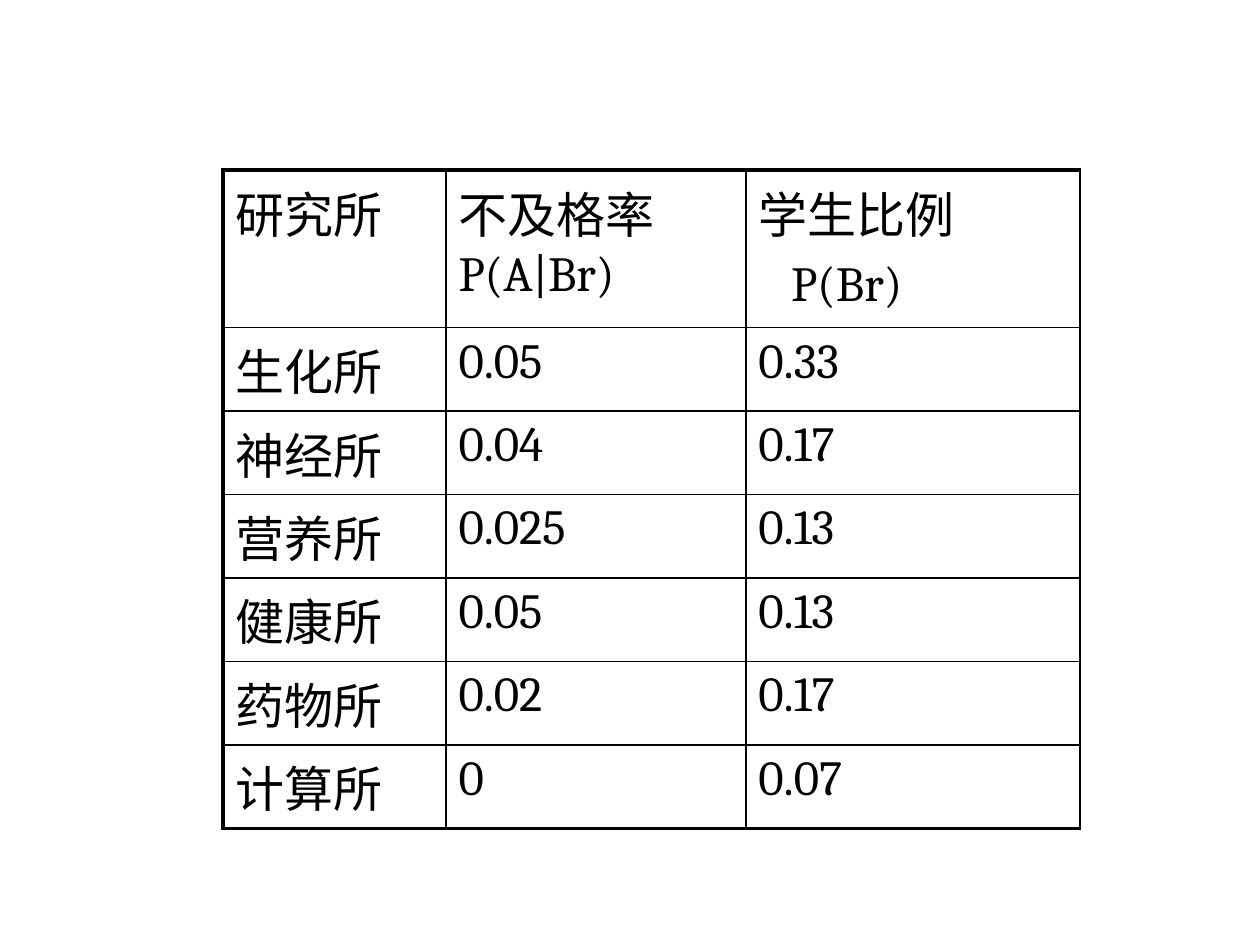
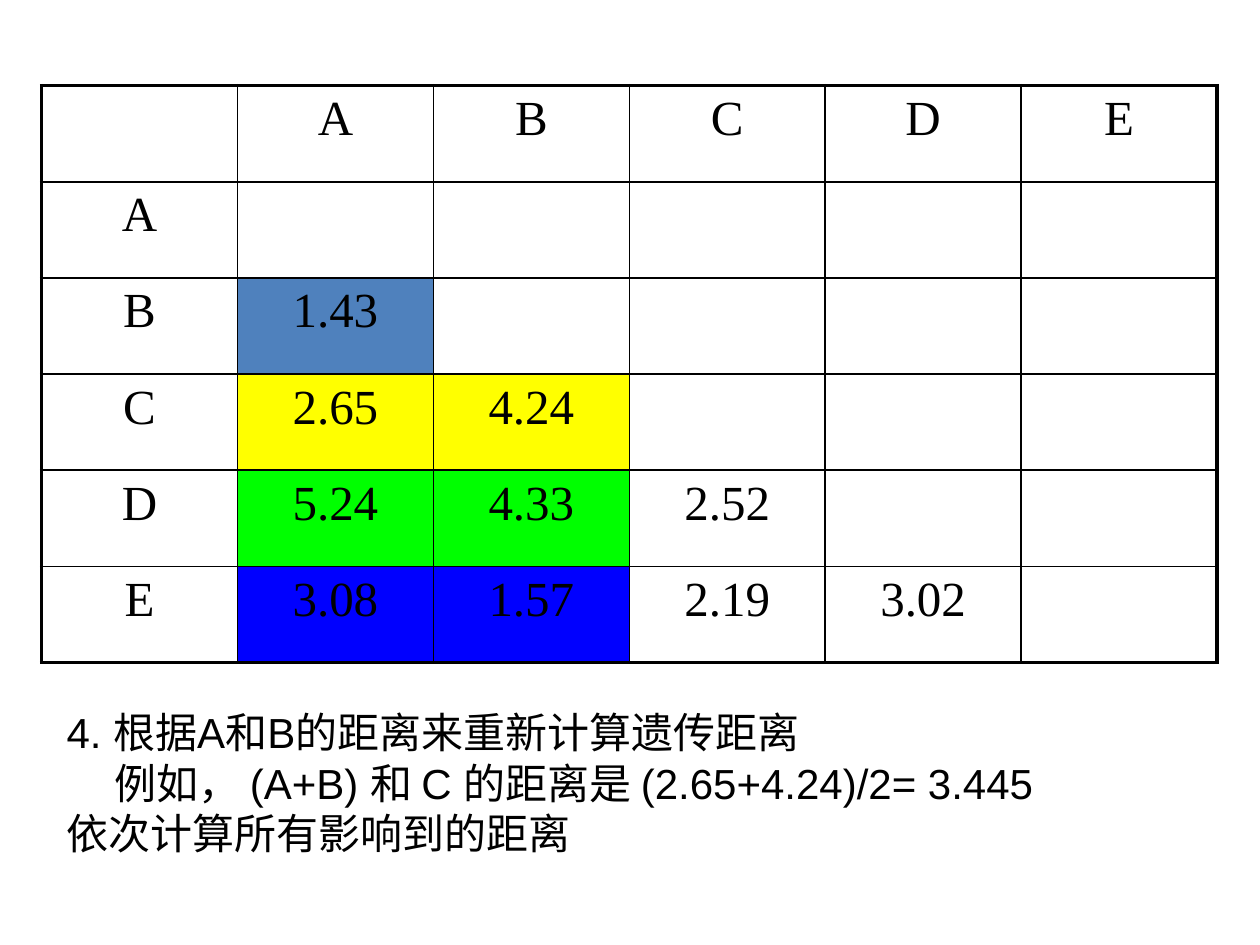
from pptx import Presentation
from pptx.dml.color import RGBColor
from pptx.enum.text import PP_ALIGN as Align
from pptx.oxml.ns import qn
from pptx.util import Inches, Pt
from lxml.etree import SubElement

BLACK = "000000"
THIN, THICK = 1, 2.25

INSTITUTES = [
    ["研究所", "不及格率P(A|Br)", "学生比例\nP(Br)"],
    ["生化所", "0.05", "0.33"],
    ["神经所", "0.04", "0.17"],
    ["营养所", "0.025", "0.13"],
    ["健康所", "0.05", "0.13"],
    ["药物所", "0.02", "0.17"],
    ["计算所", "0", "0.07"],
]

SPECIES = "ABCDE"
DISTANCES = [[], ["1.43"], ["2.65", "4.24"], ["5.24", "4.33", "2.52"],
             ["3.08", "1.57", "2.19", "3.02"]]
PAIR_FILLS = {"B": "4F81BD", "C": "FFFF00", "D": "00FF00", "E": "0000FF"}

NOTES = """4. 根据A和B的距离来重新计算遗传距离
例如， (A+B) 和 C 的距离是 (2.65+4.24)/2= 3.445
依次计算所有影响到的距离"""


def rgb(color):
    return RGBColor.from_string(color)


def write(tf, text, font="Arial", size=28, color=BLACK, align=Align.LEFT,
          gap=0, indents=()):
    """Write one paragraph per line; indents maps a line number to its first-line indent."""
    indents = dict(indents)
    for i, line in enumerate(text.split("\n")):
        p = tf.paragraphs[0] if i == 0 else tf.add_paragraph()
        p.alignment = align
        if i and gap:
            p.space_before = Pt(gap)
        if i in indents:
            p._p.get_or_add_pPr().set("indent", str(Inches(indents[i])))
        r = p.add_run()
        r.text = line
        r.font.name, r.font.size = font, Pt(size)
        r.font.color.rgb = rgb(color)


def set_borders(cell, widths):
    tcPr = cell._tc.get_or_add_tcPr()
    for side, width in zip("LRTB", widths):
        ln = SubElement(tcPr, qn(f"a:ln{side}"), w=str(Pt(width)))
        fill = SubElement(ln, qn("a:solidFill"))
        SubElement(fill, qn("a:srgbClr"), val=BLACK)


def add_grid(slide, box, rows, col_widths, row_heights, right=THICK,
             fill_for=lambda row, col: None, **text_format):
    """Add a table with thin inner lines and a thick frame; right is the last edge's width."""
    table = slide.shapes.add_table(len(rows), len(col_widths),
                                   *map(Inches, box)).table
    table.first_row = table.horz_banding = False
    for column, width in zip(table.columns, col_widths):
        column.width = Inches(width)
    for row, height in zip(table.rows, row_heights):
        row.height = Inches(height)
    last_row, last_col = len(rows) - 1, len(col_widths) - 1
    for i, values in enumerate(rows):
        for j, value in enumerate(values):
            cell = table.cell(i, j)
            set_borders(cell, (THIN if j else THICK,
                               right if j == last_col else THIN,
                               THIN if i else THICK,
                               THICK if i == last_row else THIN))
            color = fill_for(i, j)
            if color:
                cell.fill.solid()
                cell.fill.fore_color.rgb = rgb(color)
            else:
                cell.fill.background()
            if value:
                write(cell.text_frame, value, **text_format)


def add_institute_slide(prs):
    slide = prs.slides.add_slide(prs.slide_layouts[6])
    add_grid(slide, (1.77, 1.35, 6.8, 4.65), INSTITUTES,
             [1.77, 2.38, 2.65], [1.25] + [0.57] * 6, right=THIN,
             font="Cambria", gap=5.6, indents={1: 0.26})


def add_distance_slide(prs):
    slide = prs.slides.add_slide(prs.slide_layouts[6])
    size = len(SPECIES)
    rows = [["", *SPECIES]]
    rows += [[name, *known, *[""] * (size - len(known))]
             for name, known in zip(SPECIES, DISTANCES)]

    def pair_fill(i, j):
        return PAIR_FILLS.get(rows[i][0]) if j in (1, 2) and rows[i][j] else None

    left, top, width, height = box = (0.33, 0.68, 9.33, 4.58)
    count = size + 1
    add_grid(slide, box, rows, [width / count] * count, [height / count] * count,
             fill_for=pair_fill, font="Times New Roman", align=Align.CENTER)
    add_notes(slide, (left + 0.1, top + height + 0.3, 8.01, 1.3))


def add_notes(slide, box):
    tf = slide.shapes.add_textbox(*map(Inches, box)).text_frame
    tf.word_wrap = True
    write(tf, NOTES, size=24, indents={1: 0.38})


def main():
    prs = Presentation()
    prs.slide_width, prs.slide_height = Inches(10), Inches(7.5)
    add_institute_slide(prs)
    add_distance_slide(prs)
    prs.save("out.pptx")


if __name__ == "__main__":
    main()
